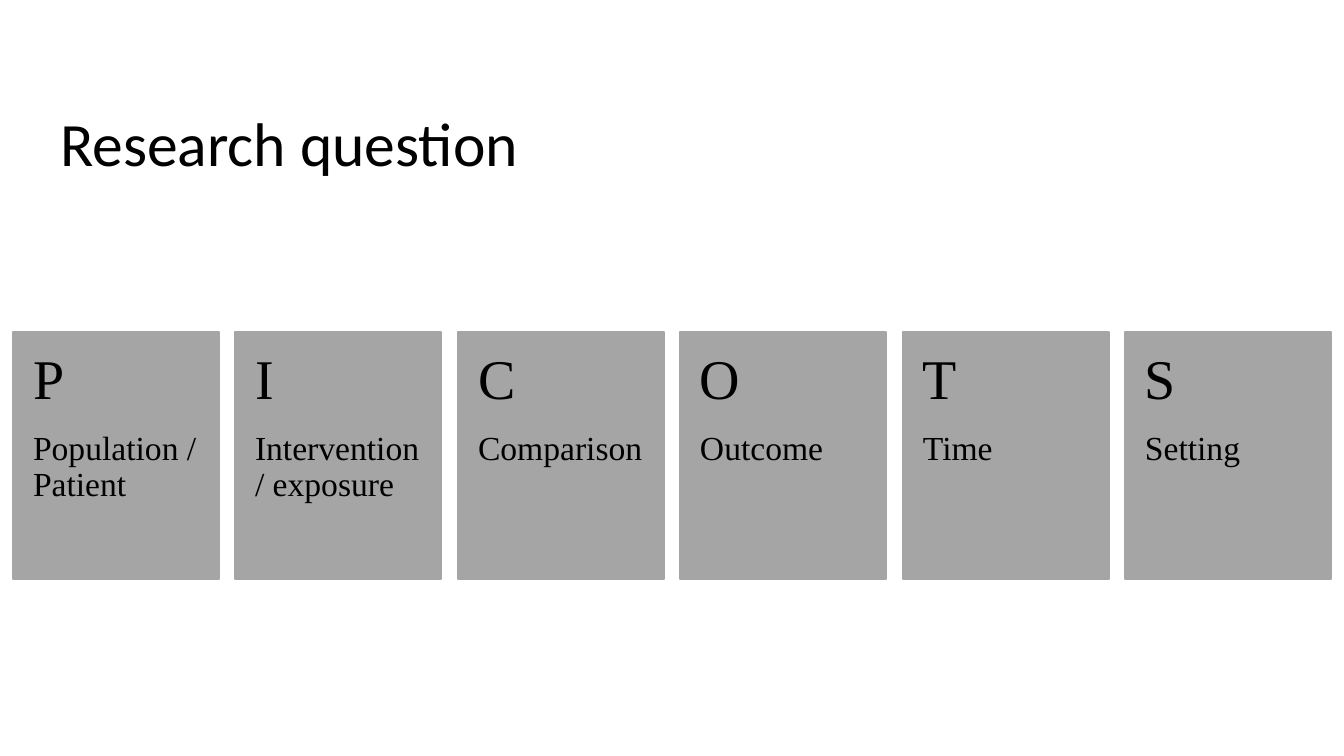
from pptx import Presentation
from pptx.dml.color import RGBColor
from pptx.enum.shapes import MSO_SHAPE
from pptx.enum.text import MSO_ANCHOR, MSO_AUTO_SIZE, PP_ALIGN
from pptx.util import Emu, Pt

PX_PER_INCH = 100.8
BLACK = RGBColor(0x00, 0x00, 0x00)
GREY = RGBColor(0xA5, 0xA5, 0xA5)

PICOTS = [
    ("P", "Population / Patient"),
    ("I", "Intervention / exposure"),
    ("C", "Comparison"),
    ("O", "Outcome"),
    ("T", "Time"),
    ("S", "Setting"),
]

# Card grid, in pixels
FIRST_LEFT, LAST_LEFT = 13, 1125
CARD_TOP, CARD_WIDTH, CARD_HEIGHT = 332, 206, 247
LETTER_HEIGHT = 99
SIDE_INSET = 20


def px(pixels):
    return Emu(round(pixels * 914400 / PX_PER_INCH))


def write(frame, text, font, size, anchor):
    """Put one left-aligned black paragraph into a text frame."""
    frame.text = text
    frame.word_wrap = True
    frame.auto_size = MSO_AUTO_SIZE.NONE
    frame.vertical_anchor = anchor
    paragraph = frame.paragraphs[0]
    paragraph.alignment = PP_ALIGN.LEFT
    paragraph.line_spacing = 0.9
    run_font = paragraph.runs[0].font
    run_font.name = font
    run_font.size = Pt(size)
    run_font.color.rgb = BLACK


def set_title(slide, text):
    title = slide.shapes.title
    title.left, title.top, title.width, title.height = map(px, (50, 74, 1233, 146))
    write(title.text_frame, text, "Calibri", 44, MSO_ANCHOR.MIDDLE)


def add_card_text(shapes, left, top, height, text, size, anchor, inset_top, inset_bottom):
    box = shapes.add_textbox(px(left), px(top), px(CARD_WIDTH), px(height))
    frame = box.text_frame
    frame.margin_left = frame.margin_right = px(SIDE_INSET)
    frame.margin_top, frame.margin_bottom = px(inset_top), px(inset_bottom)
    write(frame, text, "Times New Roman", size, anchor)


def add_card(shapes, left, letter, label):
    card = shapes.add_shape(MSO_SHAPE.RECTANGLE, px(left), px(CARD_TOP),
                            px(CARD_WIDTH), px(CARD_HEIGHT))
    card.shadow.inherit = False
    card.fill.solid()
    card.fill.fore_color.rgb = GREY
    card.line.color.rgb = GREY
    card.line.width = Pt(1)
    add_card_text(shapes, left, CARD_TOP + LETTER_HEIGHT, CARD_HEIGHT - LETTER_HEIGHT,
                  label, 24, MSO_ANCHOR.TOP, 0, 36)
    add_card_text(shapes, left, CARD_TOP, LETTER_HEIGHT,
                  letter, 40, MSO_ANCHOR.MIDDLE, 18, 18)


def main():
    prs = Presentation()
    prs.slide_width, prs.slide_height = px(1344), px(756)
    slide = prs.slides.add_slide(prs.slide_layouts[5])  # title only

    # Title
    set_title(slide, "Research question")

    # Row of evenly spaced PICOTS cards
    cards = slide.shapes.add_group_shape()
    pitch = (LAST_LEFT - FIRST_LEFT) / (len(PICOTS) - 1)
    for i, (letter, label) in enumerate(PICOTS):
        add_card(cards.shapes, round(FIRST_LEFT + i * pitch), letter, label)

    prs.save("out.pptx")


main()
